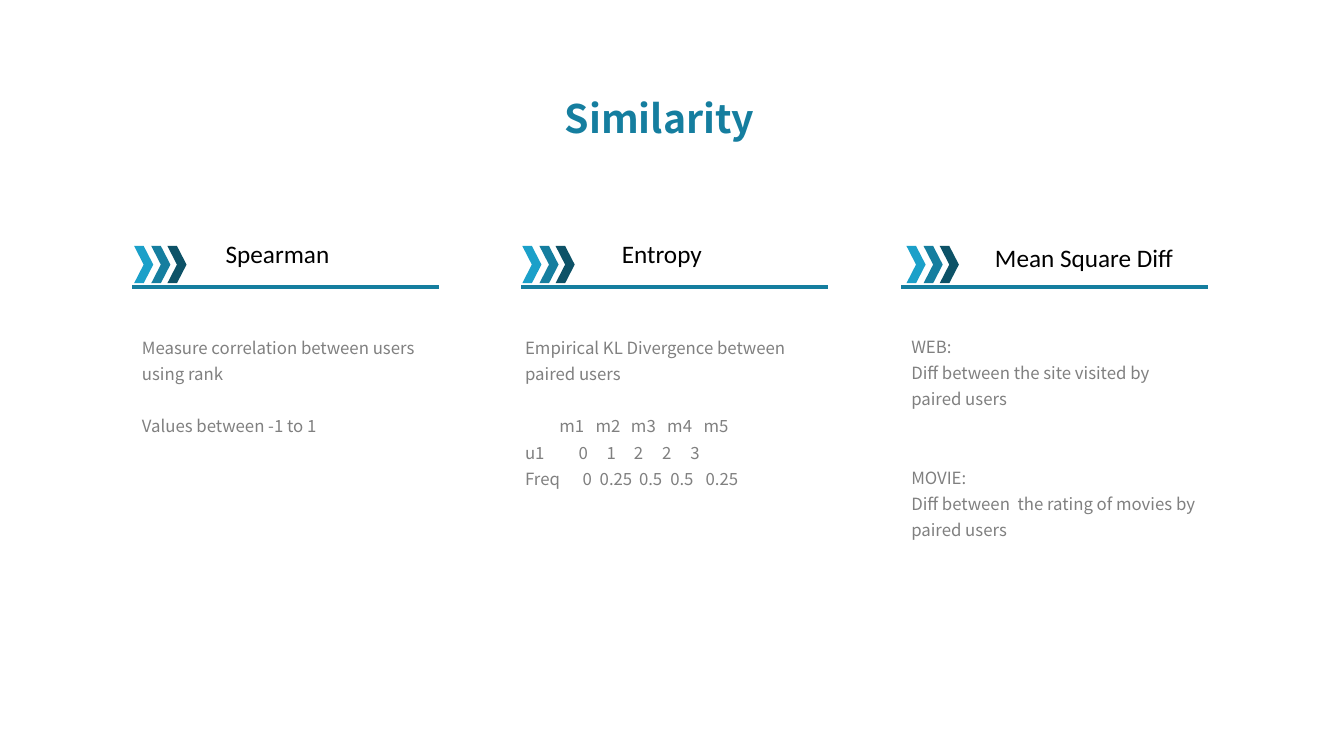
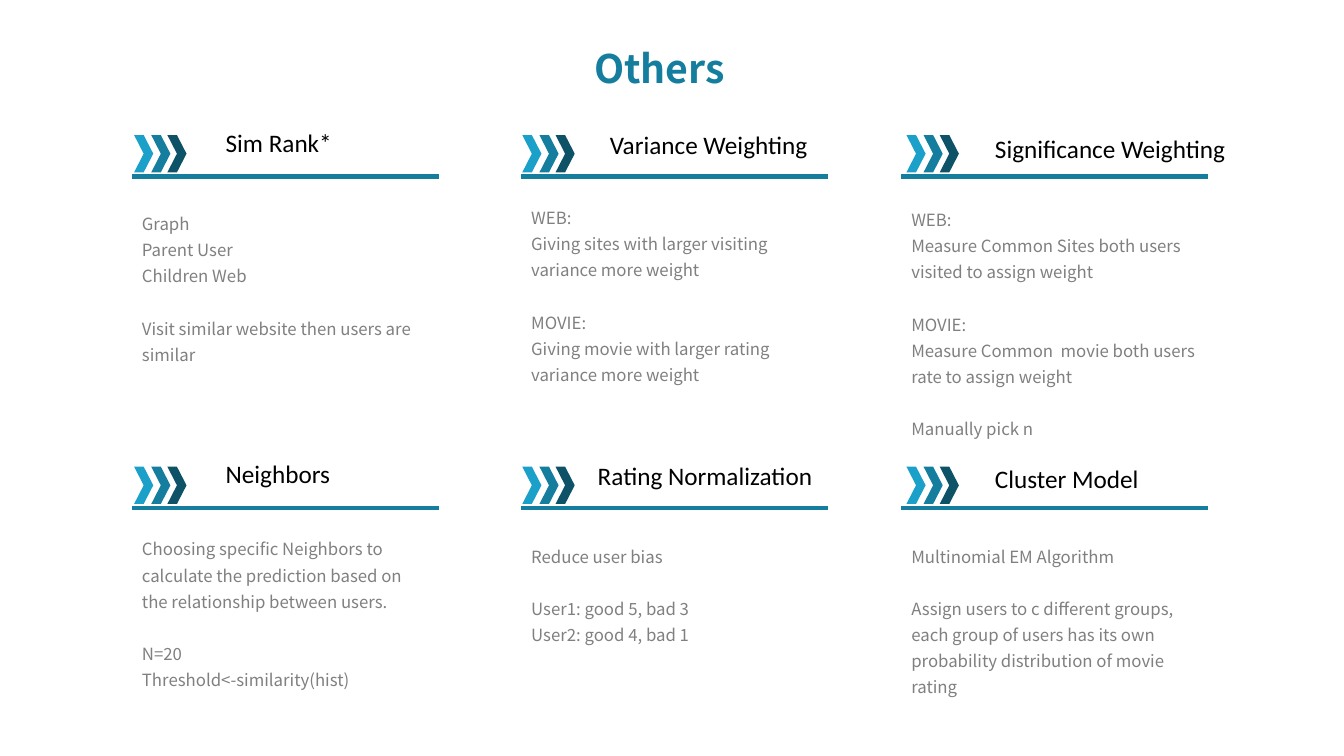
from collections import namedtuple

from lxml import etree
from pptx import Presentation
from pptx import util as u
from pptx.dml.color import RGBColor
from pptx.enum import shapes, text
from pptx.oxml.ns import qn

PX = 9144  # one px is a hundredth of an inch
TITLE_FONT = BODY_FONT = "Noto Sans CJK SC"
HEADING_FONT = "Calibri"
TEAL, BLACK, GREY = "157E9F", "000000", "808080"
CHEVRON_COLOURS = ["1BA0C9", TEAL, "0D5267"]
BLANK_LINE = 18.7  # points, one body line

# Columns: left edge of the rule and of the first chevron
COLUMNS = [(131, 133), (517, 518), (894, 899)]
RULE_WIDTH = 304

# heading_box is left, top, width; groups of body lines are set apart by gap lines.
# A body line is a string, or a pair of cells and tab stops.
Card = namedtuple("Card", "heading heading_box body_top groups gap body_shift",
                  defaults=(1, 0))

SLIDES = [
    ("Similarity", 88, [
        (285, [
            Card("Spearman", (214, 232, 124), 324, [
                ["Measure correlation between users using rank"],
                ["Values between -1 to 1"]]),
            Card("Entropy", (607, 232, 100), 324, [
                ["Empirical KL Divergence between paired users"],
                [(["", "m1", "m2", "m3", "m4", "m5"], [34, 70, 105, 141, 177]),
                 (["u1", "0", "1", "2", "2", "3"], [53, 81, 108, 136, 164]),
                 (["Freq", "0", "0.25", "0.5", "0.5", "0.25"], [57, 74, 113, 144, 179])]],
                body_shift=-6),
            Card("Mean Square Diff", (977, 236, 199), 323, [
                ["WEB:", "Diff between the site visited by paired users"],
                ["MOVIE:", "Diff between  the rating of movies by paired users"]],
                gap=2),
        ]),
    ]),
    ("Others", 39, [
        (175, [
            Card("Sim Rank*", (214, 121, 127), 201, [
                ["Graph", "Parent User", "Children Web"],
                ["Visit similar website then users are similar"]]),
            Card("Variance Weighting", (595, 123, 219), 195, [
                ["WEB:", "Giving sites with larger visiting variance more weight"],
                ["MOVIE:", "Giving movie with larger rating variance more weight"]]),
            Card("Significance Weighting", (977, 127, 251), 197, [
                ["WEB:", "Measure Common Sites both users visited to assign weight"],
                ["MOVIE:", "Measure Common  movie both users rate to assign weight"],
                ["Manually pick n"]]),
        ]),
        (504, [
            Card("Neighbors", (214, 450, 125), 524, [
                ["Choosing specific Neighbors to calculate the prediction based on "
                 "the relationship between users."],
                ["N=20", "Threshold<-similarity(hist)"]]),
            Card("Rating Normalization", (583, 452, 235), 531, [
                ["Reduce user bias"],
                ["User1: good 5, bad 3", "User2: good 4, bad 1"]]),
            Card("Cluster Model", (977, 455, 164), 531, [
                ["Multinomial EM Algorithm"],
                ["Assign users to c different groups, each group of users has its own "
                 "probability distribution of movie rating"]]),
        ]),
    ]),
]


def px(*lengths):
    return [u.Emu(length * PX) for length in lengths]


def colour(value):
    return RGBColor.from_string(value)


def add_run(paragraph, words, font, size, hex_colour, bold=False):
    run = paragraph.add_run()
    run.text = words
    run.font.name = font
    run.font.size = u.Pt(size)
    run.font.bold = bold
    run.font.color.rgb = colour(hex_colour)


def add_title(slide, words, top):
    title = slide.shapes.title
    title.left, title.top, title.width, title.height = px(482, top, 344, 57)
    frame = title.text_frame
    frame.auto_size = text.MSO_AUTO_SIZE.NONE
    frame.vertical_anchor = text.MSO_ANCHOR.MIDDLE
    paragraph = frame.paragraphs[0]
    paragraph.alignment = text.PP_ALIGN.CENTER
    add_run(paragraph, words, TITLE_FONT, 28, TEAL, bold=True)


def add_text_frame(slide, left, top, width, height, wrap):
    frame = slide.shapes.add_textbox(*px(left, top, width, height)).text_frame
    frame.word_wrap = wrap
    frame.auto_size = text.MSO_AUTO_SIZE.SHAPE_TO_FIT_TEXT
    return frame


def add_rule(slide, left, y):
    rule = slide.shapes.add_connector(
        shapes.MSO_CONNECTOR.STRAIGHT, *px(left, y, left + RULE_WIDTH, y))
    rule.line.color.rgb = colour(TEAL)
    rule.line.width = u.Pt(3)
    etree.SubElement(rule._element.spPr, qn("a:effectLst"))


def add_chevrons(slide, left, top):
    for index, fill in enumerate(CHEVRON_COLOURS):
        chevron = slide.shapes.add_shape(
            shapes.MSO_SHAPE.CHEVRON, *px(left + (index * 33 + 1) // 2, top, 19, 37))
        chevron.shadow.inherit = False
        chevron.fill.solid()
        chevron.fill.fore_color.rgb = colour(fill)
        chevron.line.fill.background()


def set_tabs(paragraph, stops):
    tab_list = etree.SubElement(paragraph._p.get_or_add_pPr(), qn("a:tabLst"))
    for stop in stops:
        etree.SubElement(tab_list, qn("a:tab"), pos=str(stop * PX), algn="l")


def add_body(slide, card, left):
    frame = add_text_frame(slide, left + card.body_shift, card.body_top,
                           RULE_WIDTH - 2 * card.body_shift, 168, True)
    paragraph = frame.paragraphs[0]
    for group_index, group in enumerate(card.groups):
        for line_index, line in enumerate(group):
            if group_index or line_index:
                paragraph = frame.add_paragraph()
            paragraph.line_spacing = 1.3
            if group_index and not line_index:
                paragraph.space_before = u.Pt(BLANK_LINE * card.gap)
            if isinstance(line, tuple):
                cells, stops = line
                set_tabs(paragraph, stops)
                line = "\t".join(cells)
            add_run(paragraph, line, BODY_FONT, 12, GREY)


def add_card(slide, card, column, rule_y):
    rule_left, chevron_left = column
    add_rule(slide, rule_left, rule_y)
    add_chevrons(slide, chevron_left, rule_y - 41)
    heading = add_text_frame(slide, *card.heading_box, 40, False)
    add_run(heading.paragraphs[0], card.heading, HEADING_FONT, 18, BLACK)
    add_body(slide, card, rule_left)


def main():
    presentation = Presentation()
    presentation.slide_width, presentation.slide_height = px(1333, 750)
    title_only = presentation.slide_layouts[5]
    for title, title_top, rows in SLIDES:
        slide = presentation.slides.add_slide(title_only)
        add_title(slide, title, title_top)
        for rule_y, cards in rows:
            for card, column in zip(cards, COLUMNS):
                add_card(slide, card, column, rule_y)
    presentation.save("out.pptx")


if __name__ == "__main__":
    main()
